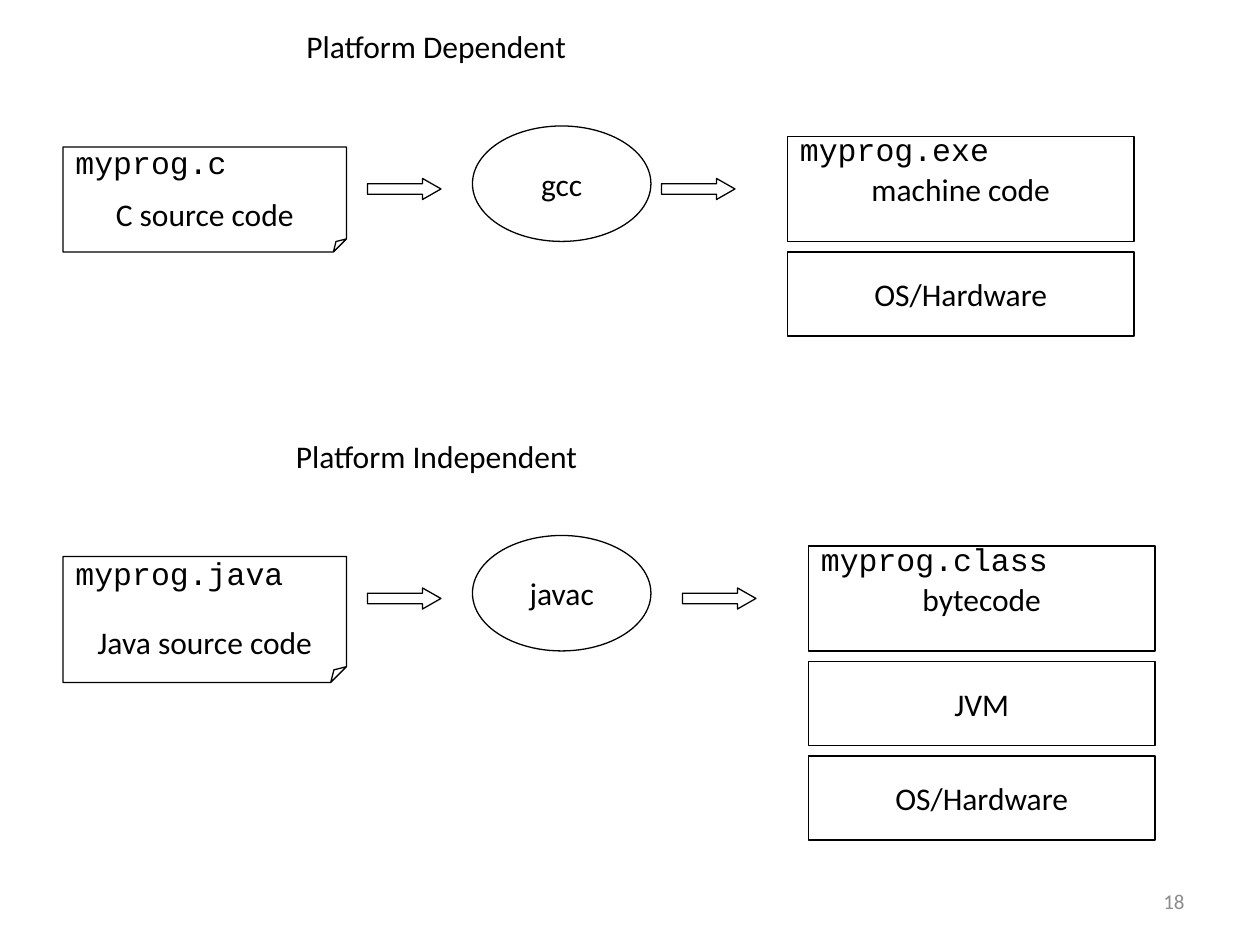
from dataclasses import dataclass

from lxml.etree import SubElement
from pptx import Presentation
from pptx.dml.color import RGBColor
from pptx.enum.shapes import MSO_SHAPE
from pptx.enum.text import MSO_ANCHOR, PP_ALIGN
from pptx.oxml.ns import qn
from pptx.util import Inches, Pt

# The slide is a grid of 120 columns by 90 rows
COLUMNS, ROWS = 120, 90
BLACK, GREY = "000000", "8C8C8C"
BODY, CODE = "Calibri", "Courier New"

presentation = Presentation()
presentation.slide_width, presentation.slide_height = Inches(10), Inches(7.5)
slide = presentation.slides.add_slide(presentation.slide_layouts[6])


@dataclass
class Area:
    column: float
    row: float
    columns: float
    rows: float

    def emu(self) -> tuple[int, int, int, int]:
        across = presentation.slide_width / COLUMNS
        down = presentation.slide_height / ROWS
        return (round(self.column * across), round(self.row * down),
                round(self.columns * across), round(self.rows * down))


@dataclass
class Toolchain:
    title: str
    title_column: float
    top: float
    source_file: str
    source_file_row: float
    source: str
    source_rows: float
    compiler: str
    output_arrow_column: float
    output_column: float
    output_file: str
    output: str
    layers: tuple[str, ...]


def color(hex_value: str) -> RGBColor:
    return RGBColor.from_string(hex_value)


def write(frame, text: str, font: str, size: float, ink: str,
          align: PP_ALIGN, anchor: MSO_ANCHOR, wrap: bool) -> None:
    frame.word_wrap = wrap
    frame.vertical_anchor = anchor
    paragraph = frame.paragraphs[0]
    paragraph.text = text
    paragraph.alignment = align
    paragraph.font.name = font
    paragraph.font.size = Pt(size)
    paragraph.font.color.rgb = color(ink)


def draw_outline(kind: MSO_SHAPE, area: Area, text: str = "",
                 anchor: MSO_ANCHOR = MSO_ANCHOR.MIDDLE, wrap: bool = False):
    outline = slide.shapes.add_shape(kind, *area.emu())
    outline.shadow.inherit = False
    outline.fill.background()
    outline.line.color.rgb = color(BLACK)
    outline.line.width = Pt(0.75)
    if text:
        write(outline.text_frame, text, BODY, 18, BLACK, PP_ALIGN.CENTER, anchor, wrap)
    return outline


def draw_label(area: Area, text: str, font: str = BODY, size: float = 18,
               ink: str = BLACK, align: PP_ALIGN = PP_ALIGN.LEFT,
               anchor: MSO_ANCHOR = MSO_ANCHOR.TOP) -> None:
    label = slide.shapes.add_textbox(*area.emu())
    write(label.text_frame, text, font, size, ink, align, anchor, True)


def draw_arrow(column: float, row: float) -> None:
    arrow = draw_outline(MSO_SHAPE.RIGHT_ARROW, Area(column, row, 7, 2))
    arrow.adjustments[0] = 0.5
    arrow.adjustments[1] = 0.875


def draw_page(area: Area, text: str) -> None:
    page = draw_outline(MSO_SHAPE.FOLDED_CORNER, area, text, MSO_ANCHOR.BOTTOM, True)
    # The fold takes an eighth of the shorter side
    guides = page.element.spPr.find(qn("a:prstGeom")).find(qn("a:avLst"))
    SubElement(guides, qn("a:gd"), name="adj", fmla="val 12500")


def draw_toolchain(chain: Toolchain) -> None:
    top, right = chain.top, chain.output_column
    draw_label(Area(chain.title_column, top, 49, 6), chain.title)

    # Source file
    draw_page(Area(6, top + 12, 27, chain.source_rows), chain.source)
    draw_label(Area(6, top + chain.source_file_row, 26, 4.8), chain.source_file, CODE)

    # Compiler between its two arrows
    draw_arrow(35, top + 15)
    draw_outline(MSO_SHAPE.OVAL, Area(45, top + 10, 17, 11), chain.compiler)
    draw_arrow(chain.output_arrow_column, top + 15)

    # Compiled output on top of the layers that run it
    draw_outline(MSO_SHAPE.RECTANGLE, Area(right, top + 11, 33, 10), chain.output)
    draw_label(Area(right, top + 9.8, 27, 4.8), chain.output_file, CODE)
    for index, layer in enumerate(chain.layers):
        draw_outline(MSO_SHAPE.RECTANGLE, Area(right, top + 22 + 9 * index, 33, 8), layer)


TOOLCHAINS = (
    Toolchain("Platform Dependent", 28, 2, "myprog.c", 11, "C source code", 10,
              "gcc", 63, 75, "myprog.exe", "machine code", ("OS/Hardware",)),
    Toolchain("Platform Independent", 27, 41, "myprog.java", 11.2, "Java source code", 12,
              "javac", 65, 77, "myprog.class", "bytecode", ("JVM", "OS/Hardware")),
)

for toolchain in TOOLCHAINS:
    draw_toolchain(toolchain)

# Slide number
draw_label(Area(86, 83.4, 28, 4.8), "18", size=12, ink=GREY,
           align=PP_ALIGN.RIGHT, anchor=MSO_ANCHOR.MIDDLE)

presentation.save("out.pptx")
